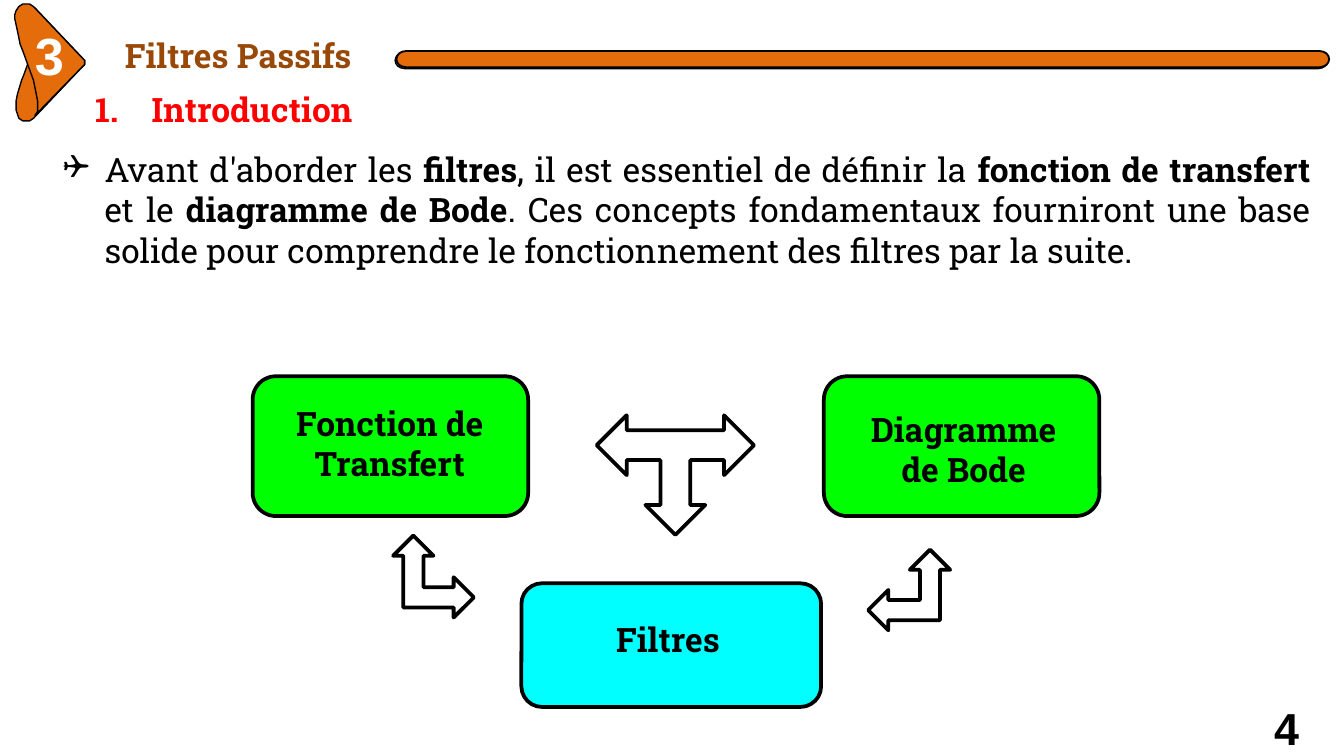
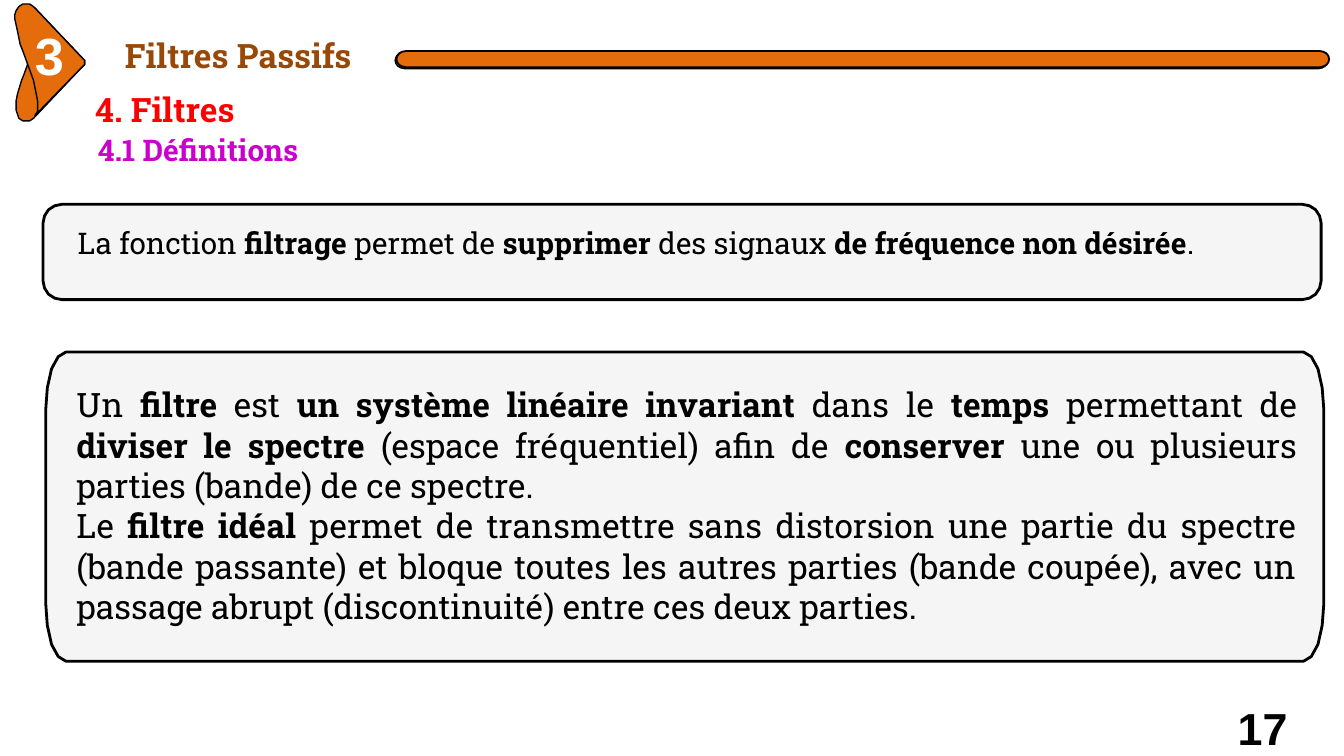
from lxml import etree
from pptx import Presentation
from pptx.dml.color import RGBColor
from pptx.enum.shapes import MSO_SHAPE
from pptx.enum.text import PP_ALIGN
from pptx.oxml.ns import qn
from pptx.util import Pt

PX = 9144
ROUND_RECT = MSO_SHAPE.ROUNDED_RECTANGLE
LEFT_UP = MSO_SHAPE.LEFT_UP_ARROW
THREE_WAY = MSO_SHAPE.LEFT_RIGHT_UP_ARROW
LEFT, CENTER, JUSTIFY = PP_ALIGN.LEFT, PP_ALIGN.CENTER, PP_ALIGN.JUSTIFY
SLAB, ARIAL = "Roboto Slab", "Arial"
COLORS = {
    "black": "000000",
    "white": "FFFFFF",
    "orange": "E46C0A",
    "brown": "984807",
    "red": "FF0000",
    "magenta": "CC00CC",
    "green": "00FF00",
    "cyan": "00FFFF",
    "gray": "F2F2F2",
}


def paint(shape, fill, weight, alpha=None):
    shape.shadow.inherit = False
    shape.line.color.rgb = RGBColor.from_string(COLORS["black"])
    shape.line.width = Pt(weight)
    if fill is None:
        shape.fill.background()
        return
    shape.fill.solid()
    shape.fill.fore_color.rgb = RGBColor.from_string(COLORS[fill])
    if alpha:
        tint = shape.fill._xPr.find(qn("a:solidFill"))[0]
        etree.SubElement(tint, qn("a:alpha")).set("val", str(alpha * 1000))


def write(slide, box, texts, size=18, color="black", bold=None, align=LEFT,
          font=SLAB, inset=(10, 5), bullet=(), hang=0):
    frame = slide.shapes.add_textbox(*(v * PX for v in box)).text_frame
    frame.word_wrap = True
    frame.margin_left = frame.margin_right = inset[0] * PX
    frame.margin_top = frame.margin_bottom = inset[1] * PX
    for i, text in enumerate(texts):
        paragraph = frame.add_paragraph() if i else frame.paragraphs[0]
        paragraph.alignment = align
        if bullet:
            properties = paragraph._p.get_or_add_pPr()
            properties.set("marL", str(hang * PX))
            properties.set("indent", str(-hang * PX))
            for tag, key, value in bullet:
                etree.SubElement(properties, qn(tag)).set(key, value)
        paragraph.font.name = font
        paragraph.font.size = Pt(size)
        paragraph.font.bold = bold
        paragraph.font.color.rgb = RGBColor.from_string(COLORS[color])
        for j, part in enumerate(text.split("**")):
            if part:
                run = paragraph.add_run()
                run.text = part
                if j % 2:
                    run.font.bold = True
    return frame


BADGE_BACK = [
    (26, 6), (28, 10), (28, 18), (27, 23), (25, 33), (22, 44), (18, 55),
    (16, 60), (13, 70), (12, 75), (12, 82), (13, 85), (14, 88), (17, 90),
    (22, 90), (25, 88), (62, 49), (63, 48), (63, 45), (62, 44),
]
BADGE_FRONT = [
    (19, 3), (17, 3), (14, 5), (12, 8), (11, 11), (11, 14), (13, 23),
    (15, 33), (17, 38), (21, 49), (25, 60), (27, 70), (28, 75), (28, 83),
    (26, 86), (62, 49), (63, 48), (63, 45), (62, 44), (25, 5), (22, 3),
]
CORNER = [(0, 1), (0.08, 0.62), (0.29, 0.29), (0.62, 0.08), (1, 0)]
BARS = [
    (294, 39, 694, 12, 7, 6, "orange", 0.75, None),
    (295, 38, 694, 12, 7, 6, "orange", 1, None),
]
PANELS = [
    (34, 262, 951, 230, 15, 43, "gray", 1.5, 74),
    (32, 152, 951, 71, 14, 14, "gray", 1.5, 74),
]
NUMBERING = [("a:buAutoNum", "type", "arabicPeriod")]
CHECKBOX = [("a:buFont", "typeface", "Wingdings"), ("a:buChar", "char", "❑")]
PAGES = [
    ("4", 948, "Introduction", NUMBERING, []),
    ("17", 921, "4. Filtres", (), PANELS),
]

deck = Presentation()
deck.slide_width = 1000 * PX
deck.slide_height = deck.slide_width * 9 // 16

for number, number_left, heading, numbering, panels in PAGES:
    slide = deck.slides.add_slide(deck.slide_layouts[6])
    outlines = []
    for x, y, w, h, rx, ry, fill, weight, alpha in BARS + panels:
        top_left = [(rx * u, ry * v) for u, v in CORNER]
        top = top_left + [(w - u, v) for u, v in reversed(top_left)]
        ring = top + [(u, h - v) for u, v in reversed(top)]
        outlines.append(([(x + u, y + v) for u, v in ring], fill, weight, alpha))
    for points in (BADGE_BACK, BADGE_FRONT):
        outlines.append((points, "orange", 0.75, None))
    for points, fill, weight, alpha in outlines:
        corners = [(round(u * PX), round(v * PX)) for u, v in points]
        builder = slide.shapes.build_freeform(*corners[0])
        builder.add_line_segments(corners[1:], close=True)
        paint(builder.convert_to_shape(), fill, weight, alpha)

    write(slide, (93, 25, 583, 33), ["Filtres Passifs"], color="brown", bold=True,
          inset=(0, 1))
    write(slide, (26, 16, 24, 49), ["3"], size=28, color="white", bold=True,
          font=ARIAL, inset=(0, 1))
    page_number = write(slide, (number_left, 528, 50, 34), [number], size=24,
                        bold=True, font=ARIAL, inset=(0, 0))
    page_number.paragraphs[0].line_spacing = Pt(24.3)
    write(slide, (61, 61, 230, 40), [heading], color="red", bold=True,
          bullet=numbering, hang=42)

introduction, definitions = deck.slides

write(introduction, (37, 106, 948, 131), [
    "Avant d'aborder les **filtres**, il est essentiel de définir la "
    "**fonction de transfert **et le **diagramme de Bode**. Ces concepts "
    "fondamentaux fourniront une base solide pour comprendre le "
    "fonctionnement des filtres par la suite.",
], align=JUSTIFY, bullet=CHECKBOX, hang=31)

concepts = [
    ("Fonction de Transfert", (188, 280, 205, 104), "green", (194, 295, 192, 70)),
    ("Filtres", (388, 434, 223, 92), "cyan", (401, 456, 192, 40)),
    ("Diagramme de Bode", (613, 280, 205, 104), "green", (623, 299, 188, 70)),
]
for label, box, fill, label_box in concepts:
    block = introduction.shapes.add_shape(ROUND_RECT, *(v * PX for v in box))
    paint(block, fill, 2)
    write(introduction, label_box, [label], bold=True, align=CENTER)

arrows = [
    (LEFT_UP, (646, 409, 61, 60), 0),
    (THREE_WAY, (444, 309, 117, 89), 180),
    (LEFT_UP, (292, 399, 61, 60), 90),
]
for kind, box, angle in arrows:
    arrow = introduction.shapes.add_shape(kind, *(v * PX for v in box))
    arrow.rotation = angle
    paint(arrow, None, 2)

write(definitions, (63, 93, 500, 37), ["4.1 Définitions"], size=16,
      color="magenta", bold=True)
write(definitions, (47, 281, 928, 192), [
    "Un **filtre** est **un système linéaire invariant **dans le **temps** "
    "permettant de **diviser le spectre **(espace fréquentiel) afin de "
    "**conserver** une ou plusieurs parties (bande) de ce spectre.",
    "Le **filtre idéal **permet de transmettre sans distorsion une partie du "
    "spectre (bande passante) et bloque toutes les autres parties (bande "
    "coupée), avec un passage abrupt (discontinuité) entre ces deux parties.",
], align=JUSTIFY)
write(definitions, (48, 162, 920, 64), [
    "La fonction **filtrage** permet de **supprimer** des signaux "
    "**de fréquence non désirée**.",
], size=16, align=JUSTIFY)

deck.save("out.pptx")
